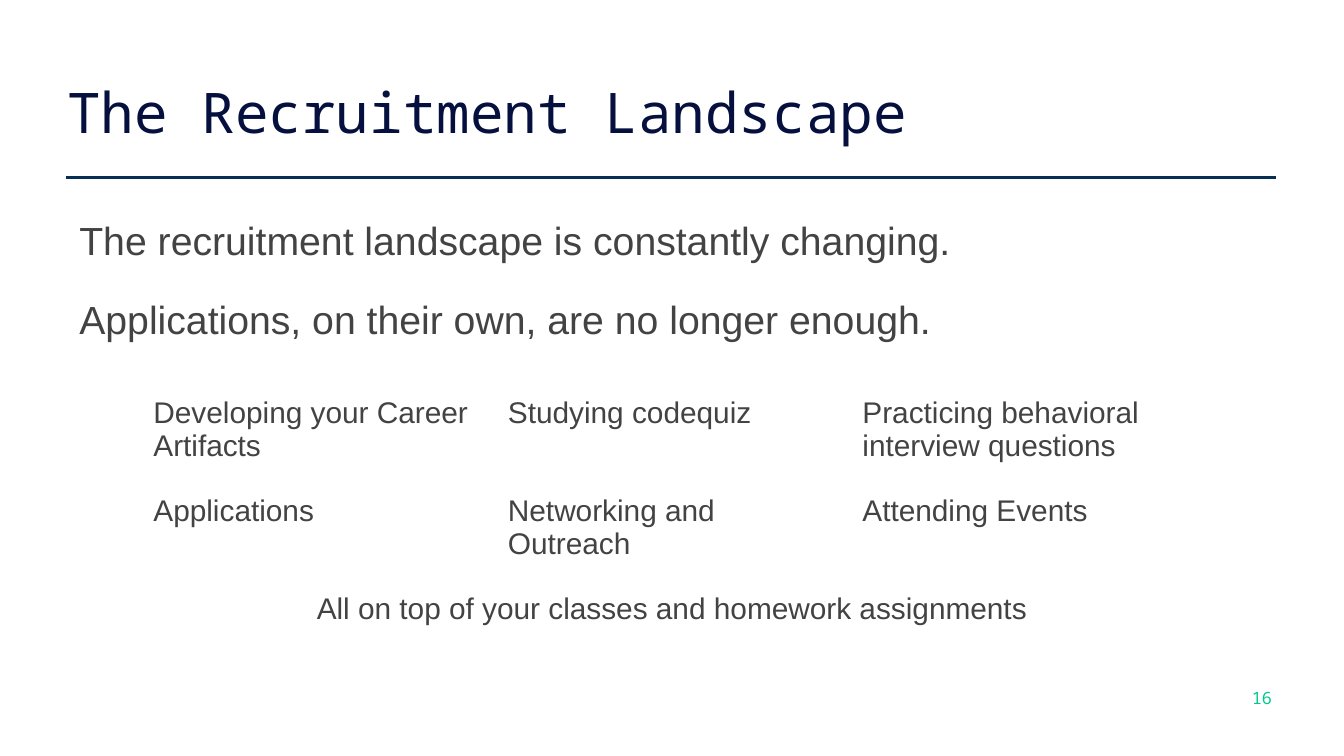
from pptx import Presentation
from pptx import util as u
from pptx.dml import color
from pptx.enum import shapes, text
from pptx.oxml import xmlchemy

COLOURS = {
    "title": "05103E",
    "rule": "053053",
    "body": "434343",
    "number": "00C98E",
}
SANS = "Arial"
MONO = "Noto Sans Mono"
PAD = 0.25


def rgb(name):
    return color.RGBColor.from_string(COLOURS[name])


def style_para(para, size, face, colour):
    para.font.size = u.Pt(size)
    para.font.name = face
    para.font.color.rgb = rgb(colour)


def add_box(page, box, insets):
    frame = page.shapes.add_textbox(*map(u.Cm, box)).text_frame
    frame.word_wrap = True
    frame.vertical_anchor = text.MSO_ANCHOR.TOP
    frame.margin_left, frame.margin_top, frame.margin_right, frame.margin_bottom = map(u.Cm, insets)
    return frame


def add_rule(page, box):
    left, top, width = box
    rule = page.shapes.add_connector(
        shapes.MSO_CONNECTOR.STRAIGHT, u.Cm(left), u.Cm(top), u.Cm(left + width), u.Cm(top)
    )
    rule.line.color.rgb = rgb("rule")
    rule.line.width = u.Pt(1.5)
    rule._element.spPr.append(xmlchemy.OxmlElement("a:effectLst"))


def add_title(page, box, title):
    para = add_box(page, box, (0, PAD, 0, PAD)).paragraphs[0]
    para.text = title
    style_para(para, 30, MONO, "title")


def add_statements(page, box, statements):
    frame = add_box(page, box, (PAD, PAD, PAD, PAD))
    for index, statement in enumerate(statements):
        para = frame.add_paragraph() if index else frame.paragraphs[0]
        para.text = statement
        para.line_spacing = 1.05
        if index:
            para.space_before = u.Pt(16)
        style_para(para, 21, SANS, "body")


def add_tasks(page, box, tasks, summary):
    left, top, width, height = box
    rows = [*tasks, [summary]]
    columns = len(tasks[0])
    table = page.shapes.add_table(
        len(rows), columns, u.Cm(left), u.Cm(top), u.Cm(width), u.Cm(height)
    ).table
    table.first_row = False
    table.horz_banding = False
    last = len(rows) - 1
    table.cell(last, 0).merge(table.cell(last, columns - 1))
    for cell in table.iter_cells():
        cell.fill.background()
        cell.margin_left = cell.margin_right = u.Cm(PAD)
        cell.margin_top = cell.margin_bottom = u.Cm(PAD)
    for row, entries in enumerate(rows):
        for column, entry in enumerate(entries):
            para = table.cell(row, column).text_frame.paragraphs[0]
            para.text = entry
            para.space_after = u.Pt(16)
            para.alignment = text.PP_ALIGN.CENTER if row == last else text.PP_ALIGN.LEFT
            style_para(para, 16, SANS, "body")


def add_page_number(page, box, number):
    para = add_box(page, box, (PAD, 0, 0, 0)).paragraphs[0]
    para.text = number
    para.alignment = text.PP_ALIGN.RIGHT
    style_para(para, 9, MONO, "number")


def main():
    deck = Presentation()
    deck.slide_width = u.Cm(25.4)
    deck.slide_height = u.Cm(14.29)
    page = deck.slides.add_slide(deck.slide_layouts[6])

    add_rule(page, (1.25, 3.35, 22.86))
    add_title(page, (1.27, 1.22, 21.2, 1.58), "The Recruitment Landscape")
    add_page_number(page, (23.14, 13, 0.9, 0.9), "16")
    add_statements(page, (1.25, 3.8, 22.86, 3.25), [
        "The recruitment landscape is constantly changing.",
        "Applications, on their own, are no longer enough.",
    ])
    add_tasks(page, (2.65, 7.24, 20.1, 3.2), [
        ["Developing your Career Artifacts", "Studying codequiz", "Practicing behavioral interview questions"],
        ["Applications", "Networking and Outreach", "Attending Events"],
    ], "All on top of your classes and homework assignments")

    deck.save("out.pptx")


if __name__ == "__main__":
    main()
